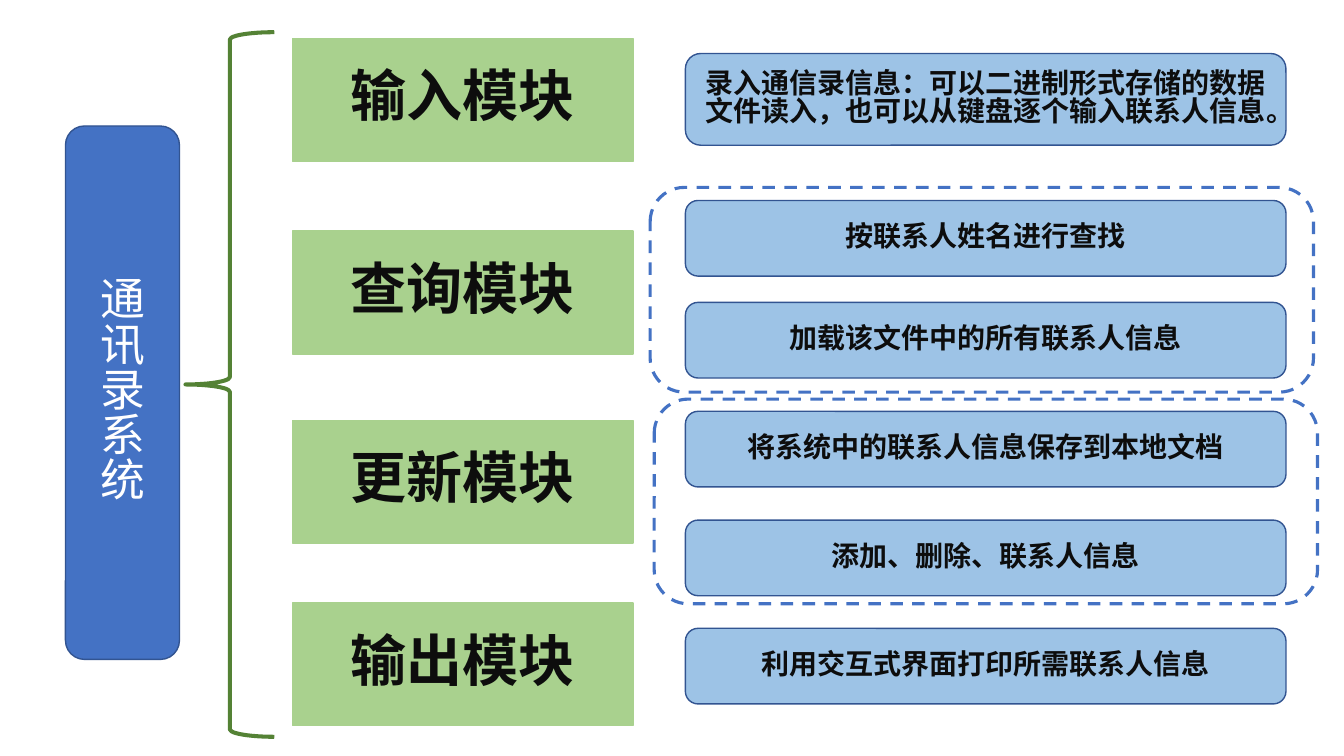
from dataclasses import dataclass

from pptx import Presentation
from pptx.dml.color import RGBColor
from pptx.enum.dml import MSO_LINE
from pptx.enum.shapes import MSO_SHAPE
from pptx.enum.text import MSO_ANCHOR, PP_ALIGN
from pptx.oxml.ns import qn
from pptx.util import Pt

RECT, ROUNDED, BRACE = MSO_SHAPE.RECTANGLE, MSO_SHAPE.ROUNDED_RECTANGLE, MSO_SHAPE.LEFT_BRACE
DASH = MSO_LINE.DASH
MIDDLE, CENTER = MSO_ANCHOR.MIDDLE, PP_ALIGN.CENTER


@dataclass(frozen=True)
class Theme:
    font: str = "Noto Sans CJK SC"
    ink: str = "0D0D0D"
    white: str = "FFFFFF"
    green: str = "A9D18E"
    dark_green: str = "548235"
    light_blue: str = "9DC3E6"
    blue: str = "4472C4"
    navy: str = "325491"
    system_size: int = 32
    module_size: int = 40
    detail_size: int = 20
    line_spacing: float = 0.84


T = Theme()
prs = Presentation()
prs.slide_width, prs.slide_height = Pt(960), Pt(540)
s = prs.slides.add_slide(prs.slide_layouts[6])


def add_box(kind, left, top, width, height, line, line_width=1, fill=None, dash=None):
    sp = s.shapes.add_shape(kind, Pt(left), Pt(top), Pt(width), Pt(height))
    sp.shadow.inherit = False
    if fill:
        sp.fill.solid()
        sp.fill.fore_color.rgb = RGBColor.from_string(fill)
    else:
        sp.fill.background()
    sp.line.color.rgb = RGBColor.from_string(line)
    sp.line.width = Pt(line_width)
    if dash:
        sp.line.dash_style = dash
    return sp


def write(sp, text, *, size, color=T.ink, bold=True):
    tf = sp.text_frame
    tf.word_wrap = True
    tf.vertical_anchor = MIDDLE
    p = tf.paragraphs[0]
    p.alignment = CENTER
    p.line_spacing = T.line_spacing
    r = p.add_run()
    r.text = text
    r.font.name = T.font
    r.font.size = Pt(size)
    r.font.bold = bold
    r.font.color.rgb = RGBColor.from_string(color)
    # Chinese glyphs take the East Asian typeface
    latin = r.font._element.find(qn("a:latin"))
    ea = latin.makeelement(qn("a:ea"), {"typeface": T.font})
    latin.addnext(ea)


modules = [("输入模块", 27.4), ("查询模块", 165), ("更新模块", 300.2), ("输出模块", 430.6)]
for text, top in modules:
    sp = add_box(RECT, 208.8, top, 243.4, 87.8, T.green, fill=T.green)
    write(sp, text, size=T.module_size)

details = [
    ("录入通信录信息：可以二进制形式存储的数据文件读入，也可以从键盘逐个输入联系人信息。", 38.2, 65.5),
    ("按联系人姓名进行查找", 143.2, 54),
    ("加载该文件中的所有联系人信息", 216, 54),
    ("将系统中的联系人信息保存到本地文档", 293.8, 54),
    ("添加、删除、联系人信息", 371.5, 54),
    ("利用交互式界面打印所需联系人信息", 448.8, 54),
]
for text, top, height in details:
    sp = add_box(ROUNDED, 489.6, top, 429, height, T.navy, fill=T.light_blue)
    write(sp, text, size=T.detail_size)

add_box(BRACE, 132.5, 23, 63.4, 503.3, T.dark_green, 2.9)

system = add_box(ROUNDED, 46.8, 90, 81.4, 381, T.navy, fill=T.blue)
write(system, "通讯录系统", size=T.system_size, color=T.white, bold=False)

for left, top in [(464.4, 133.9), (467.3, 285.1)]:
    add_box(ROUNDED, left, top, 473.8, 146.2, T.blue, 2.25, dash=DASH)

prs.save("out.pptx")
